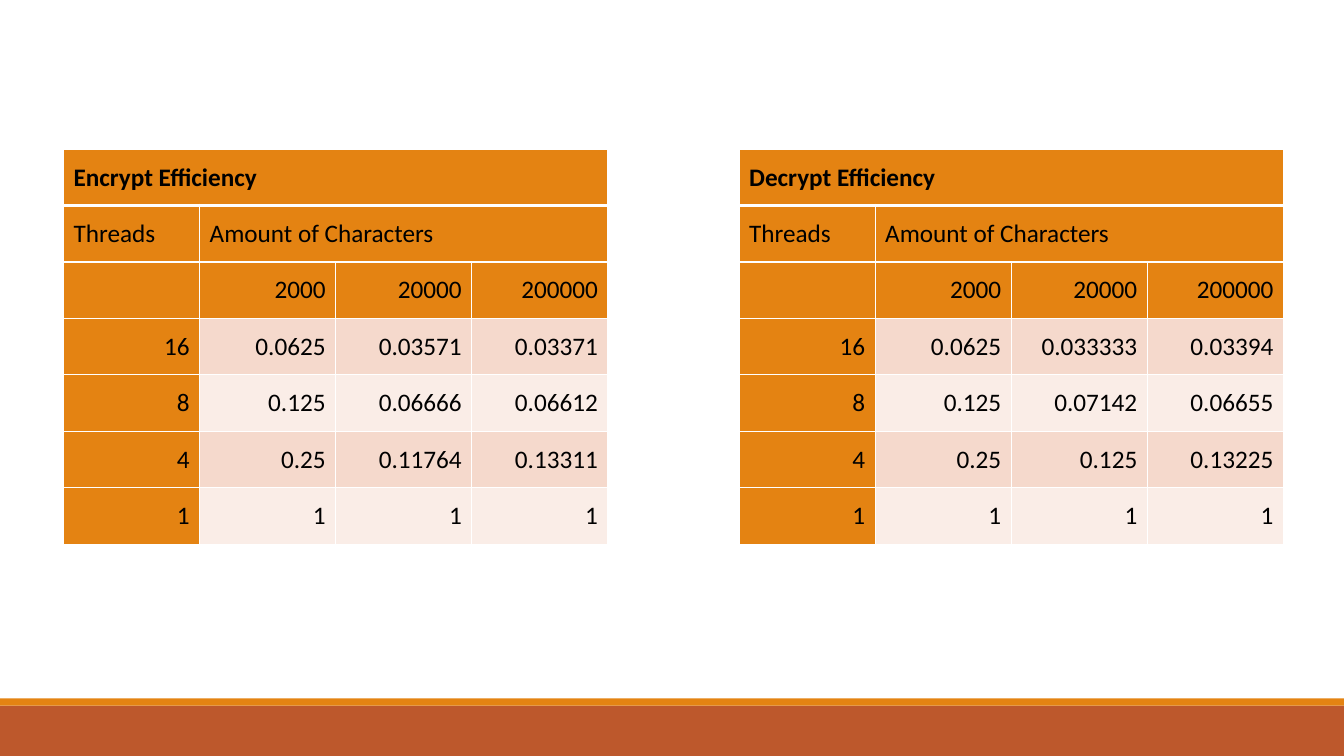
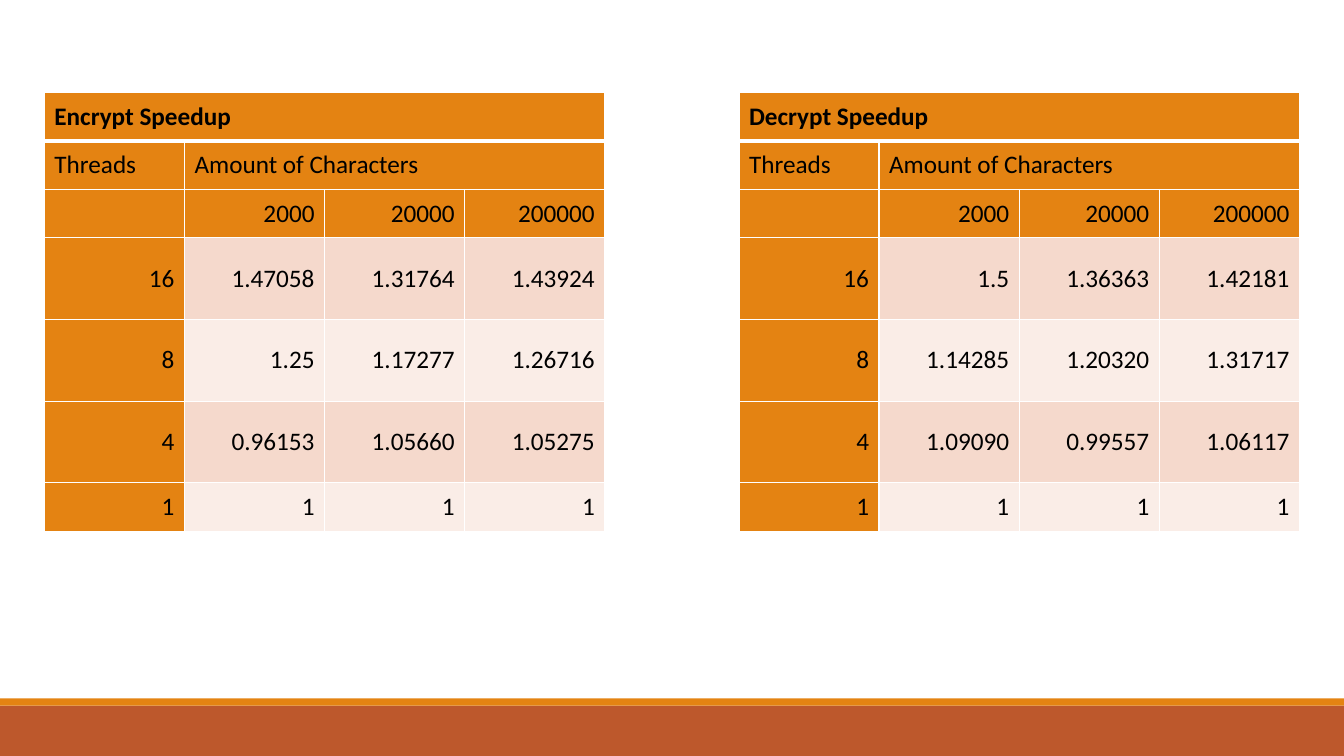
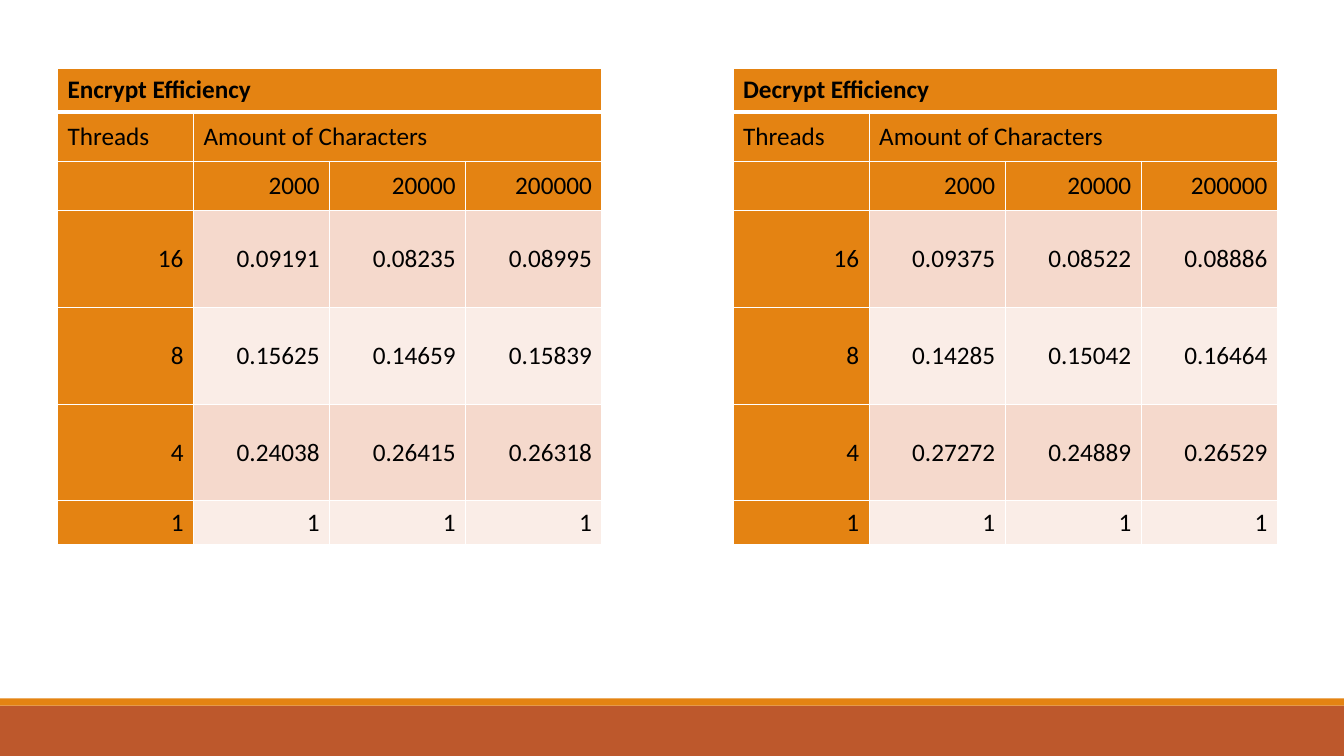
from lxml.etree import SubElement
from pptx import Presentation
from pptx.dml.color import RGBColor
from pptx.enum.shapes import MSO_SHAPE
from pptx.enum.text import MSO_ANCHOR, PP_ALIGN
from pptx.oxml.ns import qn
from pptx.util import Inches, Pt

ORANGE = RGBColor(0xE4, 0x83, 0x12)
RUST = RGBColor(0xBD, 0x58, 0x2C)
ROSE = RGBColor(0xF5, 0xD9, 0xCC)
BLUSH = RGBColor(0xFA, 0xED, 0xE7)
WHITE = RGBColor(0xFF, 0xFF, 0xFF)
BLACK = RGBColor(0, 0, 0)

WIDTH, HEIGHT = 13.33, 7.5
THREADS = ["16", "8", "4", "1"]
CHARACTERS = ["2000", "20000", "200000"]
BASELINE = ["1", "1", "1"]
BLOCK_COLUMNS = 4
GAP_COLUMN = 4
HEADER_ROWS = 3

RESULTS = [
    {
        "measure": "Efficiency", "left": 0.63, "top": 1.48,
        "column": 1.35, "gap": 1.3, "rows": [0.56] * 7,
        "Encrypt": [["0.0625", "0.03571", "0.03371"],
                    ["0.125", "0.06666", "0.06612"],
                    ["0.25", "0.11764", "0.13311"]],
        "Decrypt": [["0.0625", "0.033333", "0.03394"],
                    ["0.125", "0.07142", "0.06655"],
                    ["0.25", "0.125", "0.13225"]],
    },
    {
        "measure": "Speedup", "left": 0.44, "top": 0.92,
        "column": 1.39, "gap": 1.33, "rows": [0.48] * 3 + [0.81] * 3 + [0.48],
        "Encrypt": [["1.47058", "1.31764", "1.43924"],
                    ["1.25", "1.17277", "1.26716"],
                    ["0.96153", "1.05660", "1.05275"]],
        "Decrypt": [["1.5", "1.36363", "1.42181"],
                    ["1.14285", "1.20320", "1.31717"],
                    ["1.09090", "0.99557", "1.06117"]],
    },
    {
        "measure": "Efficiency", "left": 0.57, "top": 0.68,
        "column": 1.35, "gap": 1.3, "rows": [0.43] + [0.49] * 2 + [0.96] * 3 + [0.43],
        "Encrypt": [["0.09191", "0.08235", "0.08995"],
                    ["0.15625", "0.14659", "0.15839"],
                    ["0.24038", "0.26415", "0.26318"]],
        "Decrypt": [["0.09375", "0.08522", "0.08886"],
                    ["0.14285", "0.15042", "0.16464"],
                    ["0.27272", "0.24889", "0.26529"]],
    },
]


class ReportDeck:
    text_style = {"name": "Calibri", "size": Pt(18), "bold": False}
    bands = [(7, 0.5, RUST), (6.93, 0.07, ORANGE)]

    def __init__(self):
        self.deck = Presentation()
        self.deck.slide_width = Inches(WIDTH)
        self.deck.slide_height = Inches(HEIGHT)
        self.page = None

    def add_page(self):
        self.page = self.deck.slides.add_slide(self.deck.slide_layouts[6])
        for top, height, color in self.bands:
            self.add_band(top, height, color)

    def add_band(self, top, height, color):
        band = self.page.shapes.add_shape(
            MSO_SHAPE.RECTANGLE, 0, Inches(top), Inches(WIDTH), Inches(height))
        band.shadow.inherit = False
        band.fill.solid()
        band.fill.fore_color.rgb = color
        band.line.fill.background()

    def add_borders(self, cell, row):
        properties = cell._tc.get_or_add_tcPr()
        widths = {"L": 1, "R": 1, "T": 3 if row == 1 else 1, "B": 3 if row == 0 else 1}
        for side, width in widths.items():
            line = SubElement(properties, qn(f"a:ln{side}"), w=str(Pt(width)))
            fill = SubElement(line, qn("a:solidFill"))
            SubElement(fill, qn("a:srgbClr"), val=str(WHITE))

    def cell_color(self, row, column):
        if column == GAP_COLUMN:
            return WHITE
        if row < HEADER_ROWS or column in (0, GAP_COLUMN + 1):
            return ORANGE
        return ROSE if row % 2 else BLUSH

    def format_cell(self, cell, row, column):
        self.add_borders(cell, row)
        cell.fill.solid()
        cell.fill.fore_color.rgb = self.cell_color(row, column)
        cell.vertical_anchor = MSO_ANCHOR.MIDDLE

    def write_cell(self, cell, text, **changes):
        para = cell.text_frame.paragraphs[0]
        para.alignment = PP_ALIGN.RIGHT if text.isdigit() or "." in text else PP_ALIGN.LEFT
        span = para.add_run()
        span.text = text
        span.font.color.rgb = BLACK
        for name, value in {**self.text_style, **changes}.items():
            setattr(span.font, name, value)

    def fill_block(self, table, first, title, values):
        last = first + BLOCK_COLUMNS - 1
        table.cell(0, first).merge(table.cell(0, last))
        table.cell(1, first + 1).merge(table.cell(1, last))
        self.write_cell(table.cell(0, first), title, bold=True)
        lines = [["Threads", "Amount of Characters"], ["", *CHARACTERS]]
        lines += [[count, *line] for count, line in zip(THREADS, values + [BASELINE])]
        for row, line in enumerate(lines, 1):
            for column, text in enumerate(line, first):
                if text:
                    self.write_cell(table.cell(row, column), text)

    def add_results(self, result):
        block = [result["column"]] * BLOCK_COLUMNS
        widths = block + [result["gap"]] + block
        heights = result["rows"]
        frame = self.page.shapes.add_table(
            len(heights), len(widths), Inches(result["left"]), Inches(result["top"]),
            Inches(sum(widths)), Inches(sum(heights)))
        table = frame.table
        for column, width in zip(table.columns, widths):
            column.width = Inches(width)
        for row, height in zip(table.rows, heights):
            row.height = Inches(height)
        for row in range(len(heights)):
            for column in range(len(widths)):
                self.format_cell(table.cell(row, column), row, column)
        for first, action in ((0, "Encrypt"), (GAP_COLUMN + 1, "Decrypt")):
            self.fill_block(table, first, f"{action} {result['measure']}", result[action])


def main():
    report = ReportDeck()
    for result in RESULTS:
        report.add_page()
        report.add_results(result)
    report.deck.save("out.pptx")


if __name__ == "__main__":
    main()
